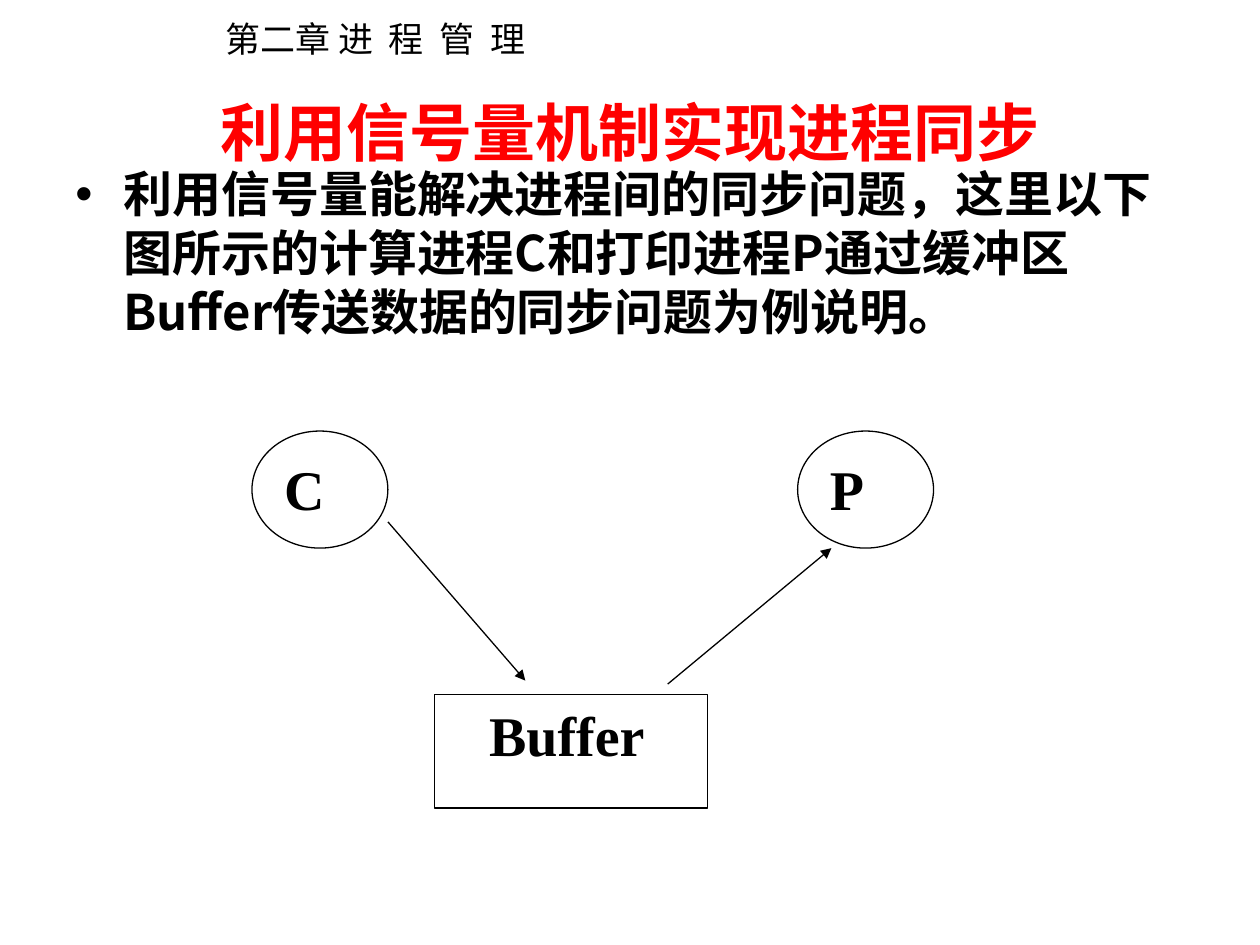
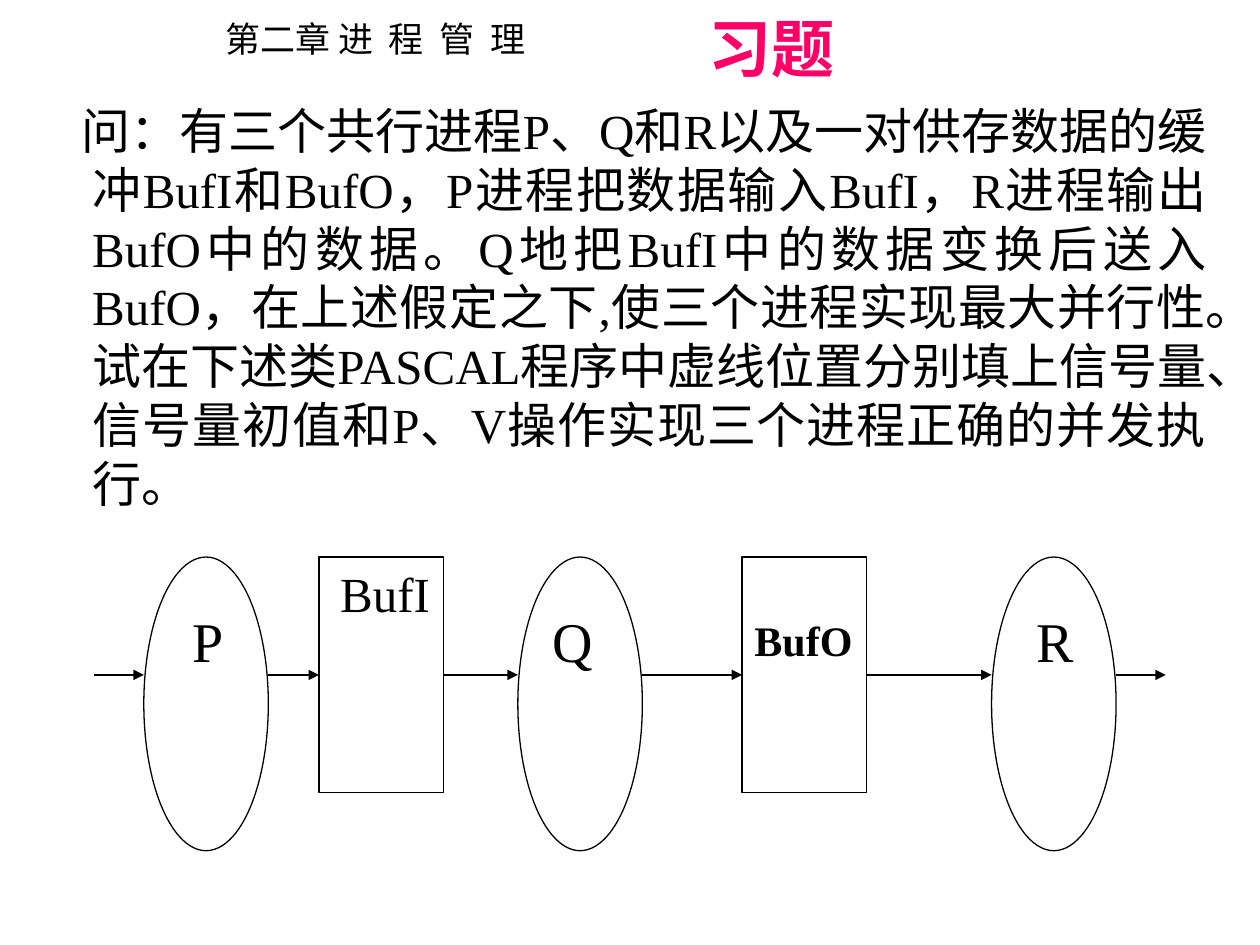
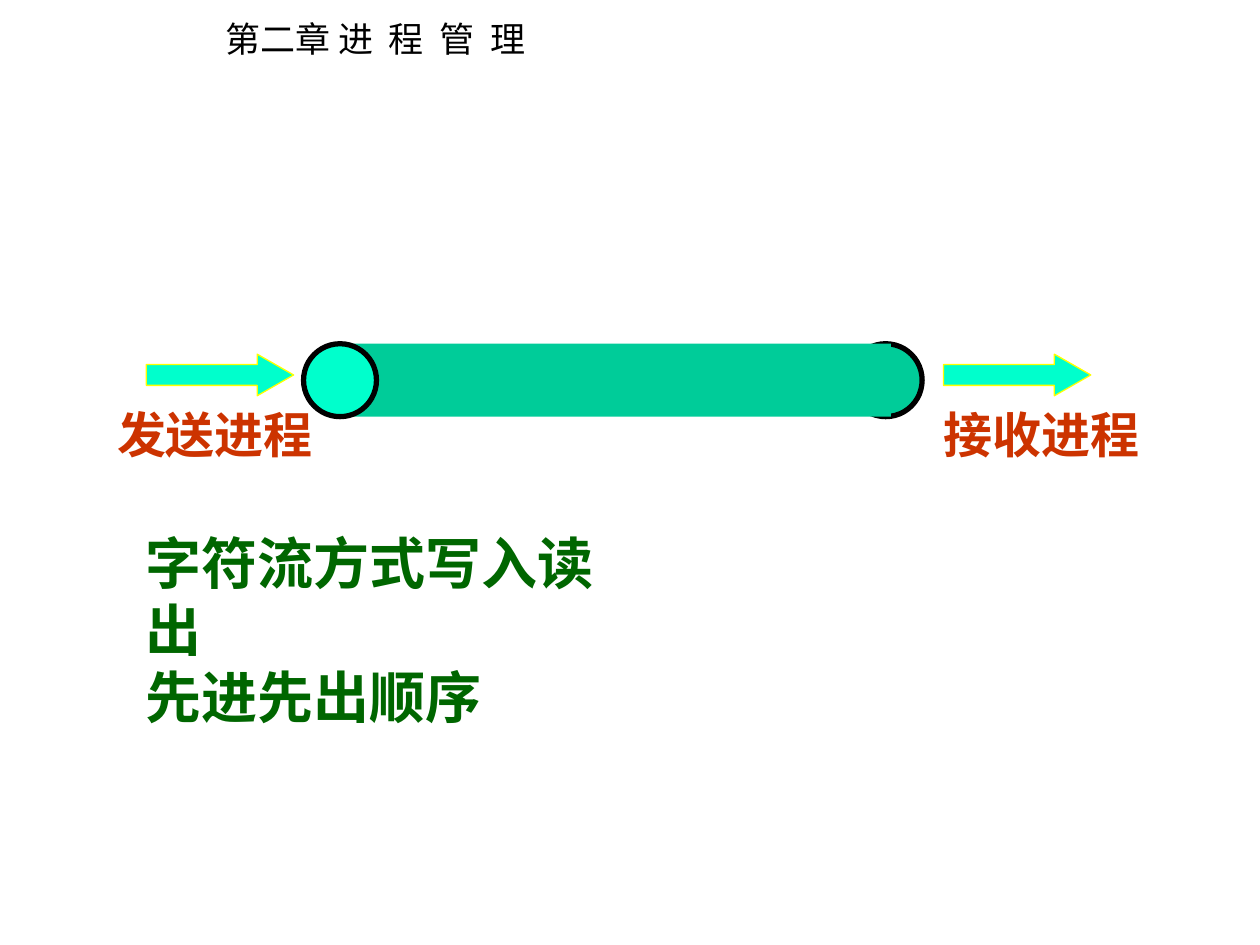
from lxml import etree
from pptx import Presentation
from pptx import util as u
from pptx.dml.color import RGBColor
from pptx.enum import shapes, text
from pptx.oxml.ns import qn

Cm, Pt = u.Cm, u.Pt
Kind, Align = shapes.MSO_SHAPE, text.PP_ALIGN

HUES = {
    "ink": "000000", "paper": "FFFFFF", "red": "FF0000", "pink": "FF0066",
    "tube": "00CC99", "mint": "00FFCC", "rust": "CC3300", "green": "006600",
    "rim": "FFFF00",
}
ROMAN, SANS = "Times New Roman", "Noto Sans CJK SC"
INSET, DROP = 0.25, 0.13
HANG = 0.97

HEAD = ("第二章 ", "进 程 管 理")
SYNC = {
    "title": "利用信号量机制实现进程同步",
    "body": "利用信号量能解决进程间的同步问题，这里以下图所示的计算进程C和打印进程P通过缓冲区Buffer传送数据的同步问题为例说明。",
    "nodes": [
        ("Buffer", Kind.RECTANGLE, (8.76, 14, 5.51, 2.29), 0.85),
        ("C", Kind.OVAL, (5.08, 8.69, 2.74, 2.36), 0),
        ("P", Kind.OVAL, (16.08, 8.69, 2.74, 2.36), 0),
    ],
    "links": [(7.82, 10.52, 10.59, 13.72), (13.46, 13.79, 16.76, 11.05)],
}
TASK = {
    "title": "习题",
    "body": "问：有三个共行进程P、Q和R以及一对供存数据的缓冲BufI和BufO，P进程把数据输入BufI，R进程输出BufO中的数据。Q地把BufI中的数据变换后送入BufO，在上述假定之下,使三个进程实现最大并行性。试在下述类PASCAL程序中虚线位置分别填上信号量、信号量初值和P、V操作实现三个进程正确的并发执行。",
    "nodes": [
        ("P", Kind.OVAL, 2.9, 32, False, 0.37, 0),
        ("BufI", Kind.RECTANGLE, 6.43, 28, False, 0.18, 0),
        ("Q", Kind.OVAL, 10.44, 32, False, 0.09, 0),
        ("BufO", Kind.RECTANGLE, 14.96, 24, True, 0, 1.02),
        ("R", Kind.OVAL, 19.99, 32, False, 0.28, 0),
    ],
}
PIPE = {
    "ends": [("发送进程", 2.11, 2.95), ("接收进程", 18.77, 19.02)],
    "notes": ["字符流方式写入读出", "先进先出顺序"],
}


def hue(name):
    return RGBColor.from_string(HUES[name])


def style(para, size, color="ink", bold=False, face=ROMAN, align=None):
    font = para.font
    font.size, font.bold, font.name = Pt(size), bold, face
    font.color.rgb = hue(color)
    etree.SubElement(font._element, qn("a:ea"), typeface=SANS)
    if align is not None:
        para.alignment = align


def indent(para, left, first=0):
    props = para._p.get_or_add_pPr()
    props.set("marL", str(Cm(left)))
    props.set("indent", str(Cm(first)))
    return props


def write(slide, box, lines, size, wrap=True, **look):
    frame = slide.shapes.add_textbox(*map(Cm, box)).text_frame
    frame.word_wrap = wrap
    for i, line in enumerate(lines):
        para = frame.paragraphs[0] if i == 0 else frame.add_paragraph()
        para.text = line
        style(para, size, **look)
    return frame


def start(deck):
    slide = deck.slides.add_slide(deck.slide_layouts[6])
    frame = write(slide, (4.29, 0.23, 6.71, 1.12), HEAD[:1], 20, False, face=SANS)
    run = frame.paragraphs[0].add_run()
    run.text = HEAD[1]
    run.font._element.set("spc", "220")
    return slide


def title(slide, box, words, color):
    frame = write(slide, box, [words], 36, color=color, bold=True,
                  align=Align.CENTER)
    frame.vertical_anchor = text.MSO_ANCHOR.MIDDLE
    return frame.paragraphs[0]


def draw(slide, kind, box, fill="paper", edge="ink", width=0.75):
    shape = slide.shapes.add_shape(kind, *map(Cm, box))
    shape.shadow.inherit = False
    shape.fill.solid()
    shape.fill.fore_color.rgb = hue(fill)
    if edge:
        shape.line.color.rgb = hue(edge)
        shape.line.width = Pt(width)
    else:
        shape.line.fill.background()
    return shape


def node(slide, label, kind, box, size=32, bold=True, shift=0, drop=0):
    shape = draw(slide, kind, box)
    frame = shape.text_frame
    frame.word_wrap = True
    frame.vertical_anchor = text.MSO_ANCHOR.TOP
    frame.margin_left, frame.margin_top = Cm(INSET + shift), Cm(DROP + drop)
    frame.text = label
    style(frame.paragraphs[0], size, bold=bold, align=Align.JUSTIFY)
    return shape


def arrow(slide, x1, y1, x2, y2):
    link = slide.shapes.add_connector(
        shapes.MSO_CONNECTOR.STRAIGHT, *map(Cm, (x1, y1, x2, y2)))
    link.line.color.rgb = hue("ink")
    link.line.width = Pt(0.75)
    etree.SubElement(link.line._get_or_add_ln(), qn("a:tailEnd"), type="triangle")
    etree.SubElement(link._element.spPr, qn("a:effectLst"))
    return link


def sync(deck):
    slide = start(deck)
    title(slide, (1.9, 1.7, 21.59, 1.9), SYNC["title"], "red")
    frame = slide.shapes.add_textbox(*map(Cm, (1.27, 3.18, 22.71, 15.04))).text_frame
    frame.word_wrap = True
    para = frame.paragraphs[0]
    para.text = SYNC["body"]
    props = indent(para, HANG, -HANG)
    etree.SubElement(props, qn("a:buFont"), typeface="Arial")
    etree.SubElement(props, qn("a:buChar"), char="•")
    style(para, 28, bold=True, face=SANS)
    for label, kind, box, shift in SYNC["nodes"]:
        node(slide, label, kind, box, shift=shift)
    for ends in SYNC["links"]:
        arrow(slide, *ends)


def task(deck):
    slide = start(deck)
    indent(title(slide, (1.12, 0, 21.59, 1.9), TASK["title"], "pink"), 7.27)
    frame = write(slide, (0.64, 1.9, 23.93, 17.15), [TASK["body"]], 28,
                  align=Align.JUSTIFY)
    indent(frame.paragraphs[0], HANG, -0.22)

    top, wide, tall = 11.23, 2.51, {Kind.OVAL: 5.92, Kind.RECTANGLE: 4.75}
    mid = top + tall[Kind.RECTANGLE] / 2
    row = []
    for label, kind, left, size, bold, shift, drop in TASK["nodes"]:
        box = (left, top, wide, tall[kind])
        row.append((kind, node(slide, label, kind, box, size, bold, shift, drop)))
    lefts = [item[2] for item in TASK["nodes"]]
    tails = [1.9] + [left + wide for left in lefts]
    for i, (tail, tip) in enumerate(zip(tails, lefts + [23.5])):
        link = arrow(slide, tail, mid, tip, mid)
        if i and row[i - 1][0] == Kind.RECTANGLE:
            link.begin_connect(row[i - 1][1], 3)
        if i < len(row) and row[i][0] == Kind.RECTANGLE:
            link.end_connect(row[i][1], 1)


def pipe(deck):
    slide = start(deck)
    left, top, size, span = 6.12, 6.93, 1.47, 11
    draw(slide, Kind.OVAL, (left + span, top, size, size), "tube", width=3)
    draw(slide, Kind.RECTANGLE, (6.96, top, span, size), "tube", None)
    draw(slide, Kind.OVAL, (left, top, size, size), "mint", width=3)
    for label, x, tail in PIPE["ends"]:
        write(slide, (x, 8.03, 4.45, 1.45), [label], 28, False,
              color="rust", bold=True)
        sign = draw(slide, Kind.RIGHT_ARROW, (tail, 7.14, 2.97, 0.84), "mint", "rim")
        sign.adjustments[0], sign.adjustments[1] = 0.5, 0.875
    write(slide, (2.69, 10.52, 10.67, 2.97), PIPE["notes"], 32, False,
          color="green", bold=True)


def main():
    deck = Presentation()
    deck.slide_width, deck.slide_height = Cm(25.4), Cm(19.05)
    for build in (sync, task, pipe):
        build(deck)
    deck.save("out.pptx")


if __name__ == "__main__":
    main()
